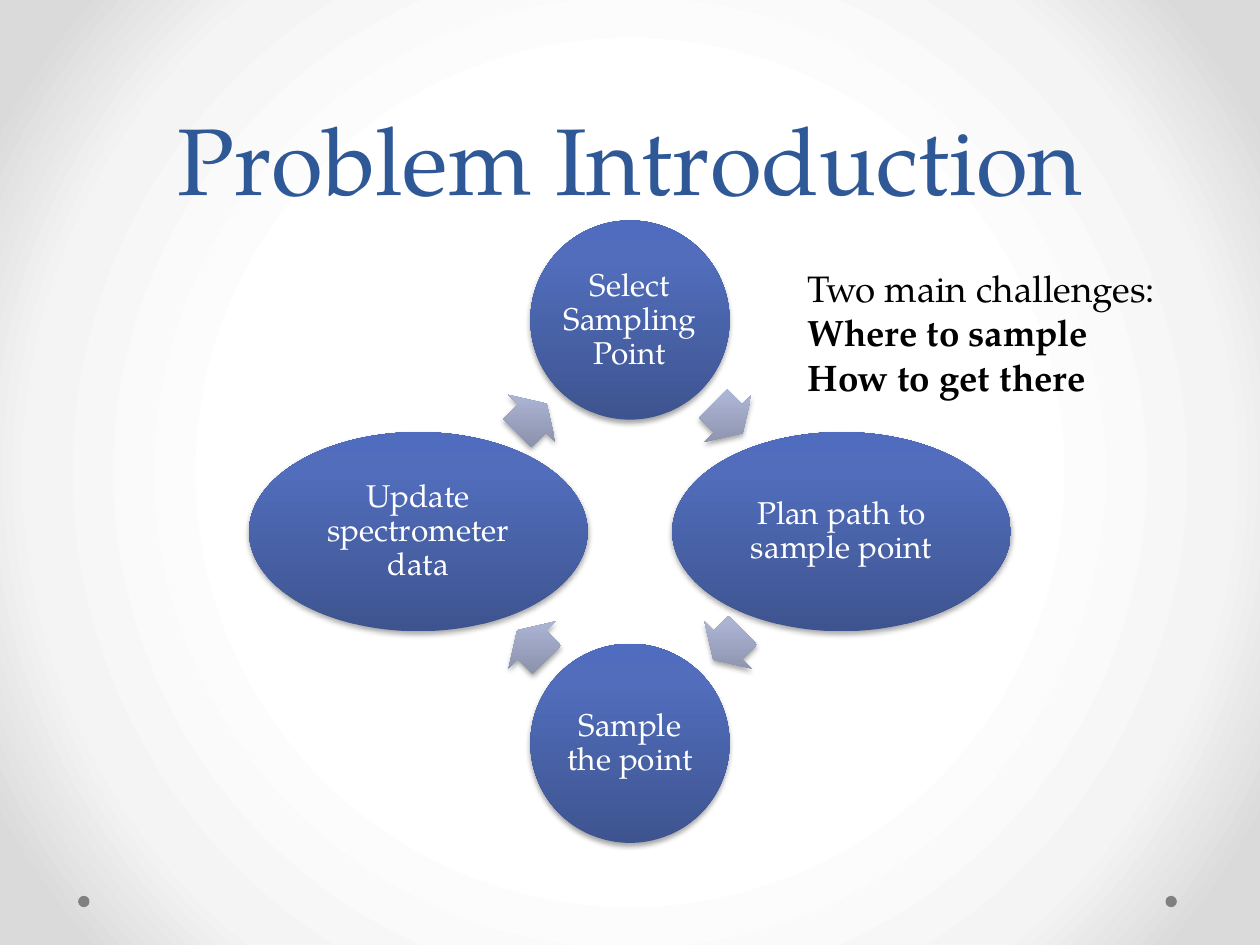
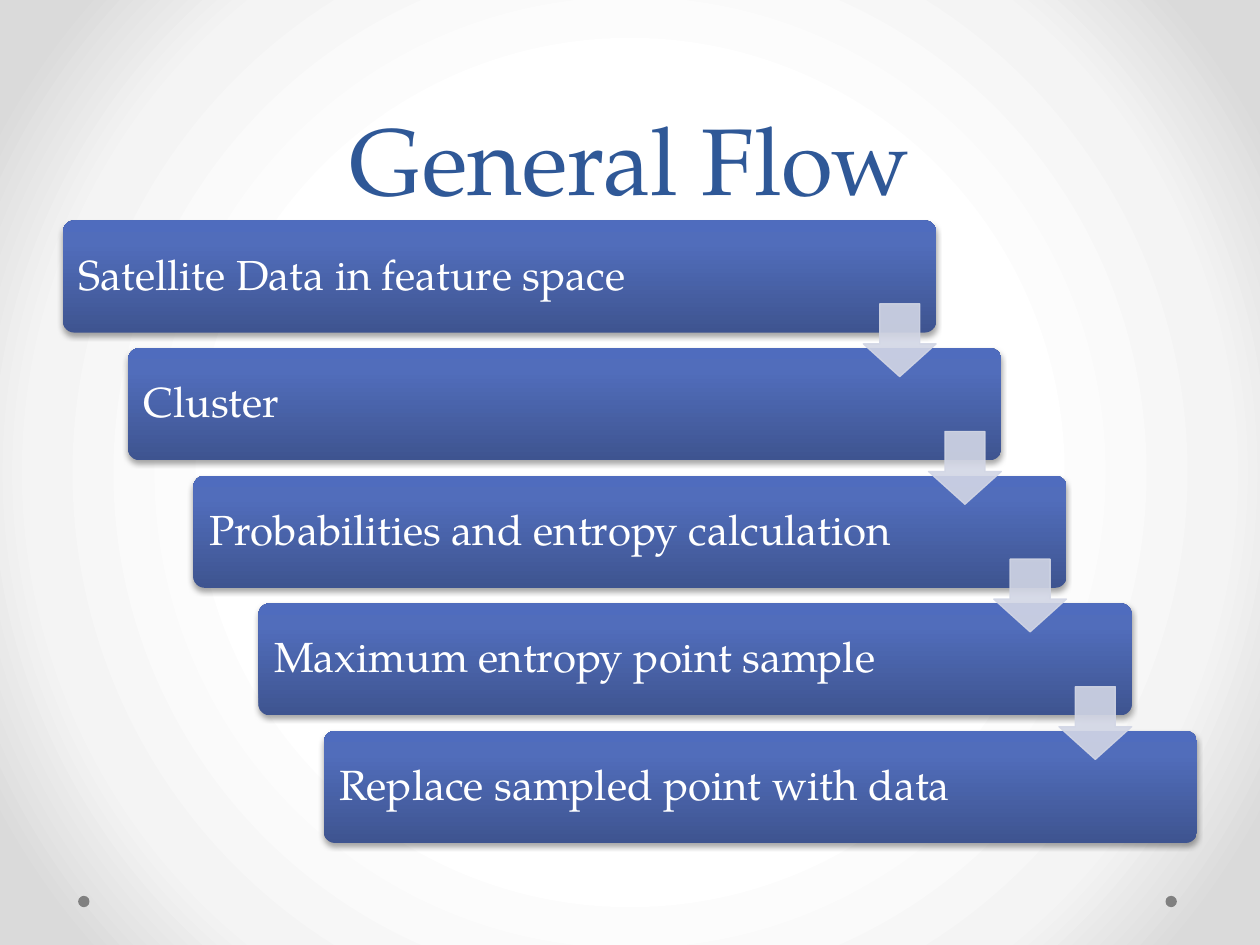
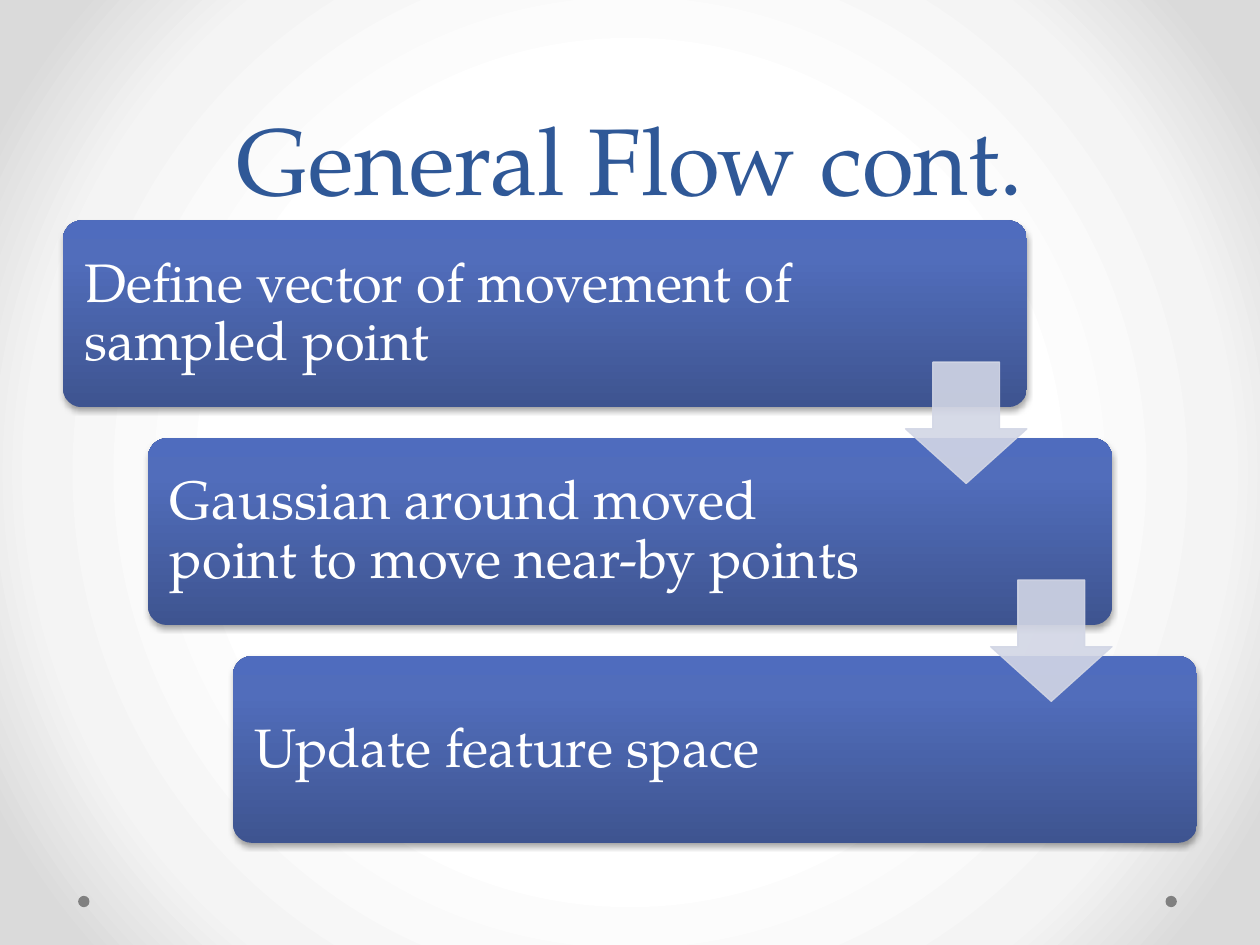
import math
from collections import namedtuple
from dataclasses import dataclass

from lxml import etree
from pptx import Presentation
from pptx import util as u
from pptx.dml.color import RGBColor
from pptx.enum import shapes, text
from pptx.oxml import parse_xml
from pptx.oxml.ns import nsdecls, qn

Box = namedtuple("Box", "x y w h")


@dataclass(frozen=True)
class Theme:
    font: str = "TeX Gyre Pagella"
    title_color: str = "2F5897"
    body_color: str = "000000"
    node_color: str = "FFFFFF"
    dot: str = "808080"
    pale: str = "D2D6E5"
    title_size: int = 54
    title_line: int = 58
    caption_size: int = 21
    node_size: int = 18
    backdrop: tuple = ((50, "FFFFFF"), (76, "F4F4F4"), (92, "DADADA"))
    blue: tuple = ((0, "3E5490"), (80, "516DBB"), (100, "4F6CBE"))
    grey: tuple = ((0, "858BA3"), (80, "ACB4D4"), (100, "ACB5D6"))


T = Theme()
SHAPE = shapes.MSO_SHAPE
CENTER = text.PP_ALIGN.CENTER
LEFT = text.PP_ALIGN.LEFT
W, H = 10, 7.5
TITLE = Box(0.05 * W, 0, 0.9 * W, 1.75)
BODY = Box(0.05 * W, 1.75, 0.9 * W, 4.94)
UPWARD = '<a:lin ang="16200000" scaled="0"/>'
RADIAL = ('<a:path path="circle"><a:fillToRect l="50000" t="50000" '
          'r="50000" b="50000"/></a:path>')
SHADOW = ('<a:effectLst %s><a:outerShdw blurRad="39370" dist="22860" dir="5400000" '
          'rotWithShape="0"><a:srgbClr val="000000"><a:alpha val="35000"/>'
          '</a:srgbClr></a:outerShdw></a:effectLst>' % nsdecls("a"))


def inches(box):
    return [u.Inches(v) for v in box]


def centred(x, y, w, h):
    return Box(x - w / 2, y - h / 2, w, h)


def gradient(stops, direction):
    items = "".join(f'<a:gs pos="{pos * 1000}"><a:srgbClr val="{color}"/></a:gs>'
                    for pos, color in stops)
    return parse_xml(f'<a:gradFill {nsdecls("a")} rotWithShape="0">'
                     f'<a:gsLst>{items}</a:gsLst>{direction}</a:gradFill>')


def solid_shape(s, kind, box, color):
    sp = s.shapes.add_shape(kind, *inches(box))
    sp.shadow.inherit = False
    sp.fill.solid()
    sp.fill.fore_color.rgb = RGBColor.from_string(color)
    sp.line.fill.background()
    return sp


def glossy_shape(s, kind, box, stops):
    sp = solid_shape(s, kind, box, T.node_color)
    props = sp._element.spPr
    props.replace(props.find(qn("a:solidFill")), gradient(stops, UPWARD))
    props.replace(props.find(qn("a:effectLst")), parse_xml(SHADOW))
    return sp


def write(sp, words, size, color, align=LEFT, spacing=None,
          anchor=text.MSO_ANCHOR.MIDDLE, margin=None):
    tf = sp.text_frame
    tf.text = words
    tf.word_wrap = True
    tf.vertical_anchor = anchor
    if margin is not None:
        tf.margin_left = tf.margin_right = u.Inches(margin)
        tf.margin_top = tf.margin_bottom = u.Inches(margin)
    for p in tf.paragraphs:
        p.alignment = align
        p.line_spacing = spacing
        for r in p.runs:
            r.font.name = T.font
            r.font.size = u.Pt(size)
            r.font.color.rgb = RGBColor.from_string(color)
    return tf


def set_backdrop(prs):
    fill = prs.slide_master.background.fill
    fill.solid()
    props = prs.slide_master._element.cSld.find(qn("p:bg")).find(qn("p:bgPr"))
    props.replace(props.find(qn("a:solidFill")), gradient(T.backdrop, RADIAL))


def titled_slide(prs, title):
    s = prs.slides.add_slide(prs.slide_layouts[6])
    for x in (0.925, 0.062):
        solid_shape(s, SHAPE.OVAL, Box(x * W, 0.948 * H, 0.09, 0.09), T.dot)
    sp = s.shapes.add_textbox(*inches(TITLE))
    write(sp, title, T.title_size, T.title_color, CENTER, u.Pt(T.title_line),
          text.MSO_ANCHOR.BOTTOM)
    return s


def cycle(s, box, steps):
    cx, cy = box.x + box.w / 2, box.y + box.h / 2
    radius, size = 0.34 * box.h, 0.32 * box.h
    for i, step in enumerate(steps):
        angle = i * math.tau / len(steps)
        dx, dy = math.sin(angle), -math.cos(angle)
        width = size * (1 + 0.7 * abs(dx))
        node = glossy_shape(s, SHAPE.OVAL,
                            centred(cx + radius * dx, cy + radius * dy, width, size),
                            T.blue)
        write(node, step, T.node_size, T.node_color, CENTER, 0.9, margin=0.03)

        angle += math.pi / len(steps)
        dx, dy = math.sin(angle), -math.cos(angle)
        arrow = glossy_shape(s, SHAPE.RIGHT_ARROW,
                             centred(cx + 0.655 * radius * dx, cy + 0.757 * radius * dy,
                                     0.067 * box.h, 0.107 * box.h), T.grey)
        arrow.adjustments[0], arrow.adjustments[1] = 0.6, 0.5
        arrow.rotation = math.degrees(angle)


def caption(s, box, lines):
    sp = s.shapes.add_textbox(*inches(box))
    tf = write(sp, "\n".join(lines), T.caption_size, T.body_color,
               anchor=text.MSO_ANCHOR.TOP)
    for p in tf.paragraphs[1:]:
        p.runs[0].font.bold = True


def step_arrow(s, box):
    arrow = solid_shape(s, SHAPE.DOWN_ARROW, box, T.pale)
    arrow.adjustments[0], arrow.adjustments[1] = 0.55, 0.45
    arrow.line.color.rgb = RGBColor.from_string(T.pale)
    arrow.line.width = u.Pt(0.75)
    for color in arrow._element.spPr.iter(qn("a:srgbClr")):
        etree.SubElement(color, qn("a:alpha")).set("val", "90000")


def staircase(s, box, steps, bar_share, size, margin):
    w, h = bar_share[0] * box.w, bar_share[1] * box.h
    gaps = len(steps) - 1
    dx, dy = (box.w - w) / gaps, (box.h - h) / gaps
    arrow = 0.65 * h
    bars = [Box(box.x + i * dx, box.y + i * dy, w, h) for i in range(len(steps))]
    for bar, step in zip(bars, steps):
        sp = glossy_shape(s, SHAPE.ROUNDED_RECTANGLE, bar, T.blue)
        sp.adjustments[0] = 0.1
        tf = write(sp, step, size, T.node_color, spacing=0.9, margin=margin)
        tf.margin_right = u.Inches(1.8 * arrow)
    for bar in bars[:-1]:
        step_arrow(s, centred(bar.x + w - arrow / 2, bar.y + (h + dy) / 2, arrow, arrow))


def main():
    prs = Presentation()
    prs.slide_width, prs.slide_height = u.Inches(W), u.Inches(H)
    set_backdrop(prs)

    s = titled_slide(prs, "Problem Introduction")
    cycle(s, BODY, ["Select Sampling Point", "Plan path to sample point",
                    "Sample the point", "Update spectrometer data"])
    caption(s, Box(0.631 * W, 0.275 * H, 0.319 * W, 0.155 * H),
            ["Two main challenges:", "Where to sample", "How to get there"])

    s = titled_slide(prs, "General Flow")
    staircase(s, BODY, ["Satellite Data in feature space", "Cluster",
                        "Probabilities and entropy calculation",
                        "Maximum entropy point sample",
                        "Replace sampled point with data"], (0.77, 0.18), 24, 0.1)

    s = titled_slide(prs, "General Flow cont.")
    staircase(s, BODY, ["Define vector of movement of sampled point",
                        "Gaussian around moved point to move near-by points",
                        "Update feature space"], (0.85, 0.3), 31, 0.13)
    prs.save("out.pptx")


if __name__ == "__main__":
    main()
